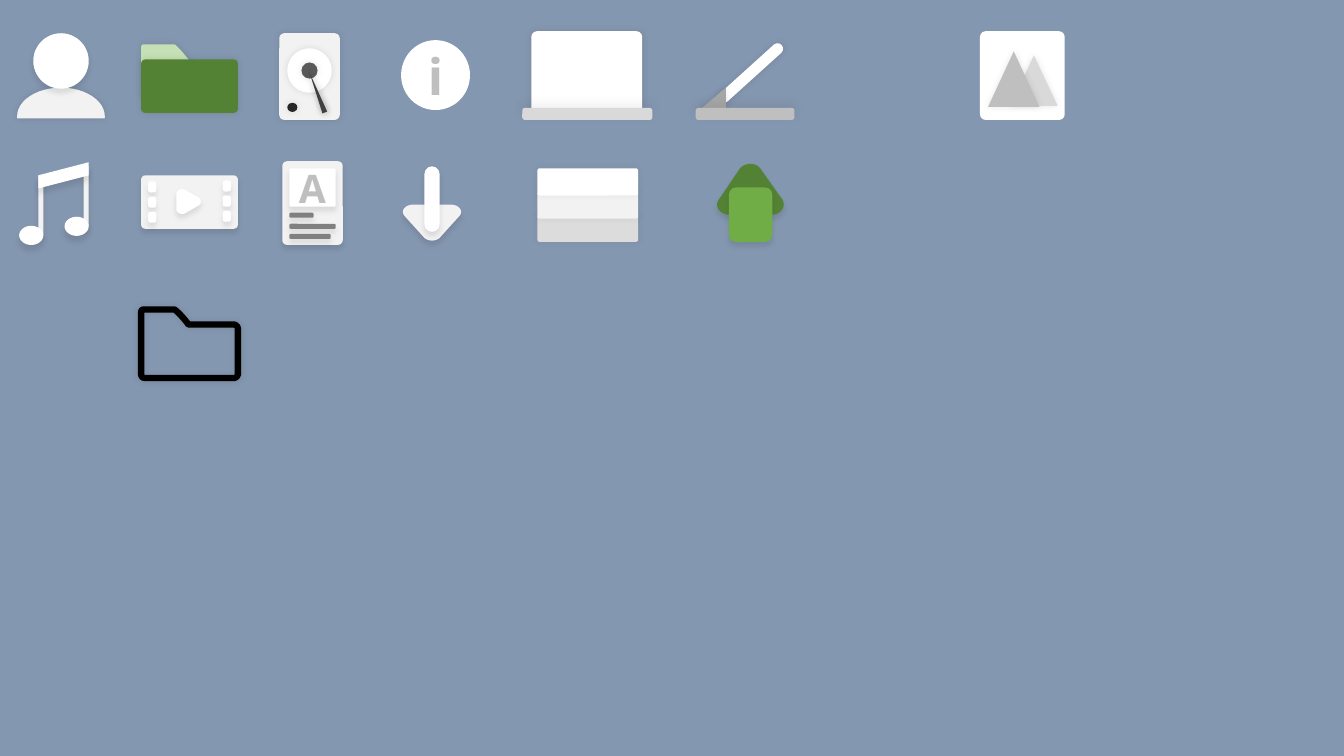
import pptx
import pptx.dml.color
import pptx.enum.shapes
import pptx.enum.text
import pptx.oxml
import pptx.oxml.ns
import pptx.util

Inches = pptx.util.Inches
Pt = pptx.util.Pt
RGB = pptx.dml.color.RGBColor.from_string
MSO = pptx.enum.shapes.MSO_SHAPE

COLORS = {
    "slate": "8497B0", "white": "FFFFFF", "pale": "F2F2F2", "mist": "DCDCDC",
    "light": "D9D9D9", "silver": "BFBFBF", "steel": "A6A6A6", "gray": "808080",
    "hub": "595959", "needle": "404040", "ink": "262626", "black": "000000",
    "mint": "C5E0B4", "forest": "548235", "leaf": "70AD47",
}
# Shadows: opacity in percent, blur and distance in points, direction in degrees
GLOW = (10, 5, 0, 0)
DARK = (40, 5, 0, 0)
FAINT = (5, 5, 0, 0)
UP = (5, 8, 3, 270)
DROP = (10, 4, 3, 90)
NOTE = (10, 4, 4, 90)


def add(parent, geom, box, fill, shadow=None, *adj):
    """Add a preset shape in a box, or a closed outline of points and Bézier curves."""
    if geom:
        sp = parent.add_shape(geom, *[Inches(v) for v in box])
        for i, value in enumerate(adj):
            sp.adjustments[i] = value
    else:
        pts = [box[0]]
        for seg in box[1:]:
            if len(seg) == 2:
                pts.append(seg)
                continue
            x0, y0 = pts[-1]
            x1, y1, x2, y2, x3, y3 = seg
            for t in [n / 8 for n in range(1, 9)]:
                a, b, c, d = (1 - t) ** 3, 3 * t * (1 - t) ** 2, 3 * t * t * (1 - t), t ** 3
                pts.append((a * x0 + b * x1 + c * x2 + d * x3,
                            a * y0 + b * y1 + c * y2 + d * y3))
        pts = [(Inches(x), Inches(y)) for x, y in pts]
        builder = parent.build_freeform(*pts[0])
        builder.add_line_segments(pts[1:], close=True)
        sp = builder.convert_to_shape()
    sp.line.fill.background()
    if fill:
        sp.fill.solid()
        sp.fill.fore_color.rgb = RGB(COLORS[fill])
    else:
        sp.fill.background()
    sp.shadow.inherit = False
    if shadow:
        alpha, blur, dist, angle = shadow
        effects = sp._element.spPr.find(pptx.oxml.ns.qn("a:effectLst"))
        effects.append(pptx.oxml.parse_xml(
            f'<a:outerShdw {pptx.oxml.ns.nsdecls("a")} blurRad="{Pt(blur)}" dist="{Pt(dist)}" '
            f'dir="{angle * 60000}" algn="ctr" rotWithShape="0"><a:srgbClr val="{COLORS["black"]}">'
            f'<a:alpha val="{alpha * 1000}"/></a:srgbClr></a:outerShdw>'))
    return sp


def letter(sp, text, size):
    """Centre one bold gray letter in a shape."""
    tf = sp.text_frame
    tf.margin_left = tf.margin_right = tf.margin_top = tf.margin_bottom = 0
    tf.word_wrap = False
    tf.vertical_anchor = pptx.enum.text.MSO_ANCHOR.MIDDLE
    p = tf.paragraphs[0]
    p.text = text
    p.alignment = pptx.enum.text.PP_ALIGN.CENTER
    font = p.runs[0].font
    font.name, font.size, font.bold = "Noto Sans", Pt(size), True
    font.color.rgb = RGB(COLORS["silver"])


prs = pptx.Presentation()
prs.slide_width, prs.slide_height = Inches(13.33), Inches(7.5)
s = prs.slides.add_slide(prs.slide_layouts[6])
s.background.fill.solid()
s.background.fill.fore_color.rgb = RGB(COLORS["slate"])
shapes = s.shapes

# User
add(shapes, MSO.CHORD, (0.17, 0.87, 0.87, 0.57), "pale", GLOW, 106.449, 1.527)
add(shapes, MSO.OVAL, (0.33, 0.33, 0.55, 0.55), "white", DROP)

# Folder
g = shapes.add_group_shape().shapes
add(g, None, [(1.4, 0.47), (1.4, 0.45, 1.41, 0.44, 1.43, 0.44), (1.73, 0.44),
              (1.75, 0.44, 1.89, 0.61, 1.89, 0.62), (1.89, 0.93),
              (1.89, 0.95, 1.87, 0.96, 1.85, 0.96), (1.43, 0.96),
              (1.41, 0.96, 1.4, 0.95, 1.4, 0.93)], "mint", GLOW)
add(g, MSO.ROUNDED_RECTANGLE, (1.4, 0.59, 0.96, 0.53), "forest", GLOW, 0.077)

# Hard disk
g = shapes.add_group_shape().shapes
add(g, MSO.ROUNDED_RECTANGLE, (2.77, 0.33, 0.6, 0.86), "pale", GLOW, 0.082)
add(g, MSO.DONUT, (2.85, 0.48, 0.44, 0.44), "white", GLOW, 0.323)
add(g, MSO.OVAL, (2.99, 0.62, 0.16, 0.16), "hub", GLOW)
sp = add(g, MSO.ISOSCELES_TRIANGLE, (3.12, 0.7, 0.05, 0.43), "needle", DARK)
sp.rotation = 339.1
add(g, MSO.OVAL, (2.85, 1.02, 0.1, 0.09), "ink", GLOW)

# Info
sp = add(shapes, MSO.OVAL, (4.02, 0.44, 0.6, 0.61), "white")
sp.line.color.rgb = RGB(COLORS["white"])
sp.line.width = Pt(6)
letter(sp, "i", 36)

# Laptop
add(shapes, MSO.ROUNDED_RECTANGLE, (5.27, 0.31, 1.1, 0.81), "white", GLOW, 0.069)
add(shapes, MSO.ROUNDED_RECTANGLE, (5.18, 1.07, 1.29, 0.12), "light", UP, 0.232)

# Desk with tilted board
g = shapes.add_group_shape().shapes
sp = add(g, MSO.ROUNDED_RECTANGLE, (7.03, 0.67, 0.83, 0.11), "white", GLOW, 0.5)
sp.rotation = 317.9
sp = add(g, MSO.RIGHT_TRIANGLE, (6.93, 0.87, 0.27, 0.23), "steel", GLOW)
sp._element.spPr.xfrm.set("flipH", "1")
add(g, MSO.ROUNDED_RECTANGLE, (6.9, 1.07, 0.98, 0.12), "silver", UP, 0.232)

# Photo
g = shapes.add_group_shape().shapes
add(g, MSO.ROUNDED_RECTANGLE, (9.72, 0.31, 0.84, 0.88), "white", None, 0.066)
add(g, MSO.ISOSCELES_TRIANGLE, (10.02, 0.55, 0.47, 0.5), "light", GLOW)
add(g, MSO.ISOSCELES_TRIANGLE, (9.8, 0.51, 0.51, 0.55), "silver", GLOW)

# Music
g = shapes.add_group_shape().shapes
for x, y in [(0.38, 1.74), (0.83, 1.65)]:
    add(g, MSO.RECTANGLE, (x, y, 0.05, 0.59), "pale", NOTE)
add(g, None, [(0.88, 1.61), (0.38, 1.74), (0.38, 1.87), (0.88, 1.74)], "white", NOTE)
for x, y in [(0.19, 2.24), (0.64, 2.15)]:
    add(g, MSO.OVAL, (x, y, 0.24, 0.19), "white", NOTE)

# Video
g = shapes.add_group_shape().shapes
add(g, MSO.ROUNDED_RECTANGLE, (1.4, 1.74, 0.96, 0.53), "pale", DROP, 0.077)
add(g, None, [(1.75, 1.92), (1.75, 1.89, 1.79, 1.87, 1.83, 1.88), (1.97, 1.96),
              (2, 1.98, 2, 2.02, 1.97, 2.04), (1.83, 2.12),
              (1.79, 2.13, 1.75, 2.11, 1.75, 2.08)], "white", DROP)
for x, top in [(1.47, 1.8), (2.21, 1.79)]:
    for row in range(3):
        add(g, MSO.ROUNDED_RECTANGLE, (x, top + 0.15 * row, 0.08, 0.11), "white", DROP, 0.291)

# Document
g = shapes.add_group_shape().shapes
add(g, MSO.ROUNDED_RECTANGLE, (2.8, 1.6, 0.6, 0.83), "pale", DROP, 0.077)
sp = add(g, MSO.ROUNDED_RECTANGLE, (2.87, 1.67, 0.46, 0.38), "white", DROP, 0.04)
letter(sp, "A", 28)
for y, w in [(2.11, 0.24), (2.22, 0.46), (2.32, 0.41)]:
    add(g, MSO.ROUNDED_RECTANGLE, (2.87, y, w, 0.05), "gray", DROP, 0.291)

# Download arrow
add(shapes, None, [(4.47, 2.03), (4.55, 2.03, 4.6, 2.09, 4.56, 2.14), (4.37, 2.35),
                   (4.33, 2.4, 4.24, 2.4, 4.2, 2.35), (4.01, 2.14),
                   (3.97, 2.09, 4.02, 2.03, 4.1, 2.03)], "pale", DROP)
add(shapes, MSO.ROUNDED_RECTANGLE, (4.21, 1.65, 0.15, 0.65), "white", DROP, 0.5)

# Stacked bands, bottom first
g = shapes.add_group_shape().shapes
for i, fill in enumerate(["mist", "pale", "white"]):
    add(g, MSO.ROUNDED_RECTANGLE, (5.33, 2.13 - 0.23 * i, 1, 0.27), fill, FAINT, 0.085)

# Folder outline
sp = add(shapes, None, [(1.43, 3.07), (1.73, 3.07), (1.74, 3.07, 1.83, 3.16, 1.87, 3.22),
                        (2.32, 3.22), (2.34, 3.22, 2.36, 3.24, 2.36, 3.26), (2.36, 3.71),
                        (2.36, 3.73, 2.34, 3.75, 2.32, 3.75), (1.44, 3.75),
                        (1.41, 3.75, 1.4, 3.73, 1.4, 3.71), (1.4, 3.1),
                        (1.4, 3.08, 1.41, 3.07, 1.43, 3.07)], None, GLOW)
sp.line.color.rgb = RGB(COLORS["black"])
sp.line.width = Pt(4.5)

# Upload arrow
add(shapes, None, [(7.23, 2.13), (7.14, 2.13, 7.08, 2.04, 7.13, 1.98), (7.34, 1.67),
                   (7.39, 1.61, 7.5, 1.61, 7.54, 1.67), (7.76, 1.98),
                   (7.8, 2.04, 7.75, 2.13, 7.66, 2.13)], "forest", DROP)
add(shapes, MSO.ROUNDED_RECTANGLE, (7.23, 1.86, 0.43, 0.54), "leaf", DROP, 0.163)

prs.save("out.pptx")
